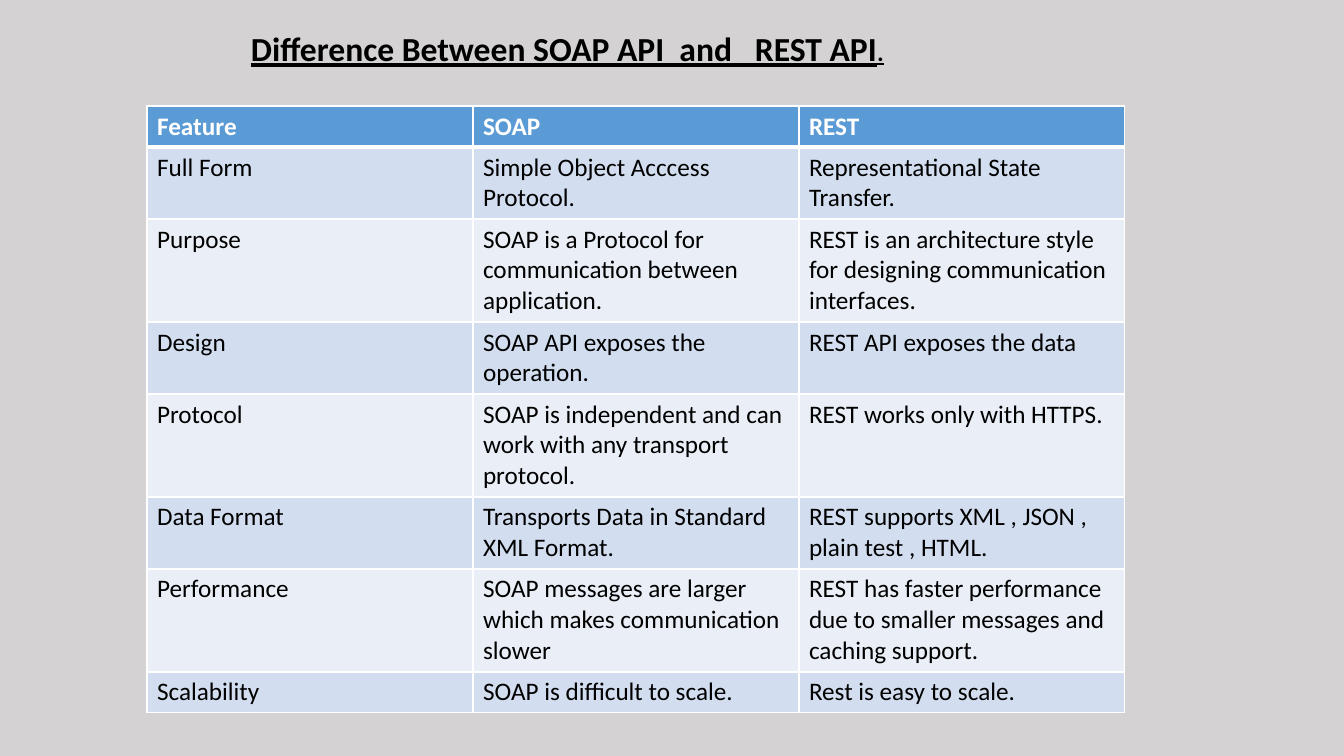
from dataclasses import dataclass

from lxml.etree import SubElement
from pptx import Presentation
from pptx.dml.color import RGBColor as Rgb
from pptx.enum.text import MSO_AUTO_SIZE as Fit
from pptx.oxml.ns import qn
from pptx.util import Emu, Pt

WHITE, BLACK, BLUE = "FFFFFF", "000000", "5B9BD5"
BANDS = ("D2DEEF", "EAEFF7")
WIDE, TALL = 1344, 756
LEFT, TOP, COL = 147, 106, 326
LINE, PAD = 31, 10


@dataclass
class Row:
    cells: tuple[str, str, str]
    lines: int = 1  # text lines in the tallest cell


ROWS = [
    Row(("Feature", "SOAP", "REST")),
    Row(("Full Form", "Simple Object Acccess Protocol.",
         "Representational State Transfer."), 2),
    Row(("Purpose", "SOAP is a Protocol for communication between application.",
         "REST is an architecture style for designing communication interfaces."), 3),
    Row(("Design", "SOAP API exposes the operation.", "REST API exposes the data"), 2),
    Row(("Protocol", "SOAP is independent and can work with any transport protocol.",
         "REST works only with HTTPS."), 3),
    Row(("Data Format", "Transports Data in Standard XML Format.",
         "REST supports XML , JSON , plain test , HTML."), 2),
    Row(("Performance", "SOAP messages are larger which makes communication slower",
         "REST has faster performance due to smaller messages and caching support."), 3),
    Row(("Scalability", "SOAP is difficult to scale.", "Rest is easy to scale.")),
]


def px(num: int) -> Emu:
    return Emu(round(num * 12192000 / WIDE))


def paint(fill, tone: str) -> None:
    fill.solid()
    fill.fore_color.rgb = Rgb.from_string(tone)


def write(para, text: str, tone: str, **form) -> None:
    """Add a run, with font attributes taken from form."""
    run = para.add_run()
    run.text = text
    for key, val in {"name": "Calibri", "size": Pt(18), **form}.items():
        setattr(run.font, key, val)
    paint(run.font.fill, tone)


def edge(cell, sides: dict[str, int]) -> None:
    """Put white borders, in points, ahead of the cell's fill."""
    props = cell._tc.get_or_add_tcPr()
    for spot, (side, width) in enumerate(sides.items()):
        line = SubElement(props, qn(f"a:ln{side}"), w=str(Pt(width)))
        solid = SubElement(line, qn("a:solidFill"))
        SubElement(solid, qn("a:srgbClr"), val=WHITE)
        props.insert(spot, line)


def draw_title(slide) -> None:
    box = slide.shapes.add_textbox(px(241), px(23), px(761), px(50))
    frame = box.text_frame
    frame.word_wrap = True
    frame.auto_size = Fit.SHAPE_TO_FIT_TEXT
    para = frame.paragraphs[0]
    form = {"bold": True, "underline": True}
    write(para, "Difference Between SOAP API  and   REST API", BLACK, size=Pt(24), **form)
    write(para, ".", BLACK, **form)


def draw_table(slide, rows: list[Row]) -> None:
    highs = [PAD + LINE * row.lines for row in rows]
    cols = len(rows[0].cells)
    table = slide.shapes.add_table(
        len(rows), cols, px(LEFT), px(TOP), px(COL * cols), px(sum(highs))).table
    for col in table.columns:
        col.width = px(COL)
    for r, row in enumerate(rows):
        head = r == 0
        table.rows[r].height = px(highs[r])
        for c, text in enumerate(row.cells):
            cell = table.cell(r, c)
            paint(cell.fill, BLUE if head else BANDS[(r - 1) % 2])
            edge(cell, {"L": 1, "R": 1, "T": 3 if r == 1 else 1, "B": 3 if head else 1})
            write(cell.text_frame.paragraphs[0], text, WHITE if head else BLACK, bold=head)


def main() -> None:
    deck = Presentation()
    deck.slide_width, deck.slide_height = px(WIDE), px(TALL)
    slide = deck.slides.add_slide(deck.slide_layouts[6])
    paint(slide.background.fill, "D4D2D2")
    draw_table(slide, ROWS)
    draw_title(slide)
    deck.save("out.pptx")


if __name__ == "__main__":
    main()
